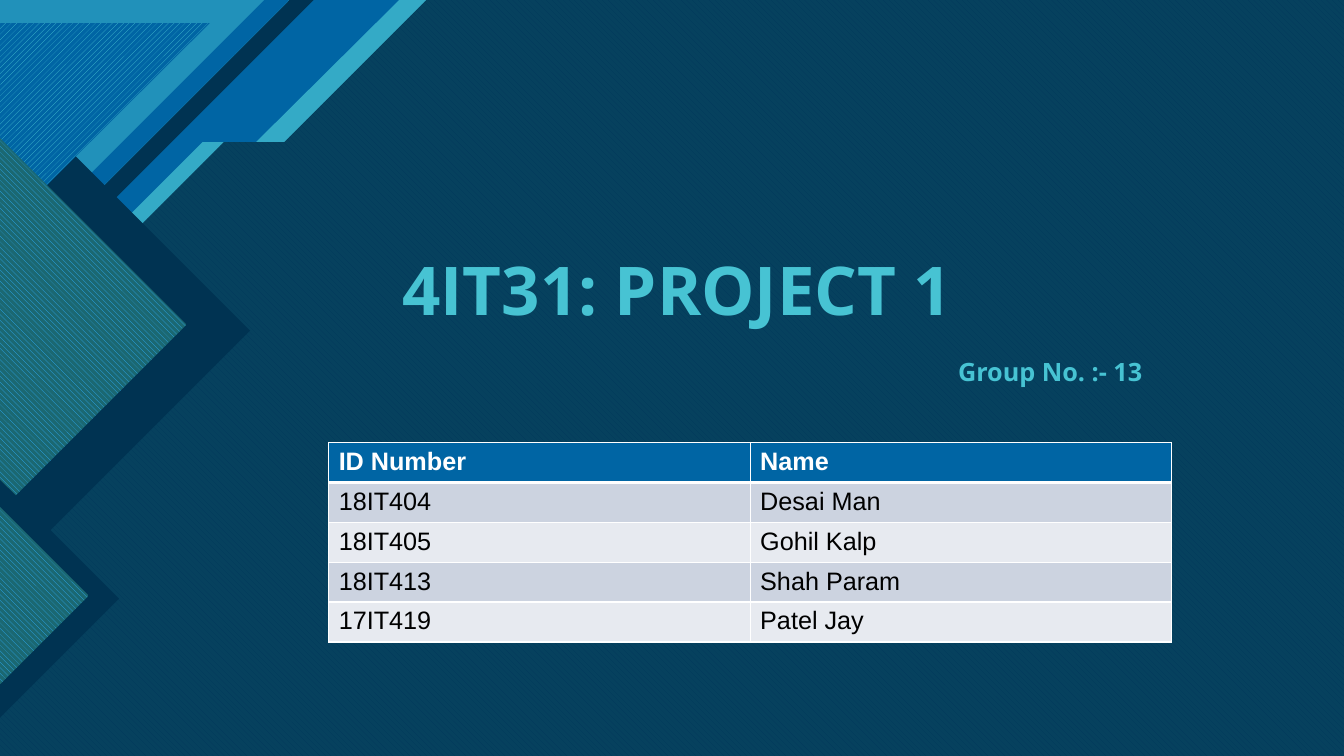
from lxml.etree import SubElement
from pptx import Presentation
from pptx.dml.color import RGBColor
from pptx.enum.dml import MSO_PATTERN
from pptx.enum.shapes import MSO_SHAPE
from pptx.enum.text import MSO_ANCHOR, PP_ALIGN
from pptx.oxml.ns import qn
from pptx.util import Inches, Pt

SLIDE_W, SLIDE_H = 13.33, 7.5
COLORS = {
    "blue": "0065A4", "aqua": "47C3D3", "navy": "003352", "sky": "2FAFFF",
    "teal": "1B6872", "white": "FFFFFF", "black": "000000",
    "band_dark": "CCD3E0", "band_light": "E7EAF0",
}
MEMBERS = [
    ("ID Number", "Name"),
    ("18IT404", "Desai Man"),
    ("18IT405", "Gohil Kalp"),
    ("18IT413", "Shah Param"),
    ("17IT419", "Patel Jay"),
]


def rgb(name):
    """Return the named palette colour."""
    return RGBColor.from_string(COLORS[name])


def paint(shape, color, opacity=100, pattern=None, back=None):
    """Fill a shape plainly, translucently or with a two-colour pattern."""
    shape.shadow.inherit = False
    shape.line.fill.background()
    if pattern is not None:
        shape.fill.patterned()
        shape.fill.pattern = pattern
        shape.fill.fore_color.rgb = rgb(color)
        shape.fill.back_color.rgb = rgb(back)
        return
    shape.fill.solid()
    shape.fill.fore_color.rgb = rgb(color)
    if opacity < 100:
        srgb = shape.fill._xPr.find(qn("a:solidFill")).find(qn("a:srgbClr"))
        SubElement(srgb, qn("a:alpha")).set("val", str(opacity * 1000))


def add_outline(slide, points, color, **style):
    """Draw a closed outline through points given in inches."""
    corners = [(Inches(x), Inches(y)) for x, y in points]
    builder = slide.shapes.build_freeform(*corners[0])
    builder.add_line_segments(corners[1:], close=True)
    paint(builder.convert_to_shape(), color, **style)


def add_corner(slide, size, color, **style):
    """Draw a right triangle filling the top left corner."""
    corner = slide.shapes.add_shape(
        MSO_SHAPE.RIGHT_TRIANGLE, 0, 0, Inches(size), Inches(size))
    corner.rotation = 90
    paint(corner, color, **style)


def add_half_diamond(slide, center, reach, color, **style):
    """Draw a diamond half pointing right from the left edge."""
    points = [(0, center - reach), (reach, center), (0, center + reach)]
    add_outline(slide, points, color, **style)


def add_backdrop(slide):
    """Layer the field, corner bands and edge diamonds."""
    slide.background.fill.solid()
    slide.background.fill.fore_color.rgb = rgb("blue")
    bottom = [(SLIDE_W, 0), (SLIDE_W, SLIDE_H), (0, SLIDE_H)]
    glow = [(3.96, 0), *bottom, (0, 3.42), (2.01, 1.41), (2.54, 1.41)]
    field = [(4.23, 0), *bottom, (0, 3.63), (2.22, 1.41), (2.82, 1.41)]
    stripes = {"pattern": MSO_PATTERN.WIDE_DOWNWARD_DIAGONAL}

    add_outline(slide, glow, "aqua", opacity=74)
    add_outline(slide, field, "blue", back="aqua", **stripes)
    add_corner(slide, 3.11, "navy")
    add_corner(slide, 2.87, "blue", back="aqua",
               pattern=MSO_PATTERN.DARK_HORIZONTAL)
    add_corner(slide, 2.62, "aqua", opacity=48)
    add_outline(slide, field, "navy", opacity=90)

    add_half_diamond(slide, 3.28, 2.48, "navy")
    add_outline(slide, [(0, 0.23), (2.08, 0.23), (0, 2.3)], "aqua",
                back="blue", pattern=MSO_PATTERN.WIDE_UPWARD_DIAGONAL)
    add_half_diamond(slide, 3.22, 1.85, "sky", back="teal", **stripes)
    add_half_diamond(slide, 5.94, 1.18, "navy")
    add_half_diamond(slide, 5.91, 0.88, "sky", back="teal", **stripes)


def add_run(paragraph, text, size, color, font, bold):
    """Append one formatted run."""
    run = paragraph.add_run()
    run.text = text
    run.font.size = Pt(size)
    run.font.name = font
    run.font.bold = bold
    run.font.color.rgb = rgb(color)


def add_heading(slide):
    """Set the project title with the group number, above the backdrop."""
    title = slide.shapes.title
    slide.shapes._spTree.append(title._element)
    title.left, title.top = Inches(3.89), Inches(2.44)
    title.width, title.height = Inches(7.74), Inches(1.52)
    frame = title.text_frame
    frame.word_wrap = True
    frame.vertical_anchor = MSO_ANCHOR.BOTTOM
    frame.margin_bottom = Inches(0.12)
    frame.margin_right = Inches(0.3)
    project, group = frame.paragraphs[0], frame.add_paragraph()
    project.alignment, group.alignment = PP_ALIGN.LEFT, PP_ALIGN.RIGHT
    group.space_before = Pt(21.5)
    for line, text, size in ((project, "4IT31: PROJECT 1", 48),
                             (group, "Group No. :- 13", 18)):
        line.line_spacing = 0.9
        add_run(line, text, size, "aqua", "Open Sans", True)


def set_borders(cell, top_width, bottom_width):
    """Give a cell white borders; top and bottom have their own widths."""
    props = cell._tc.get_or_add_tcPr()
    widths = {"a:lnL": 1, "a:lnR": 1, "a:lnT": top_width,
              "a:lnB": bottom_width}
    for place, (tag, width) in enumerate(widths.items()):
        border = SubElement(props, qn(tag), w=str(Pt(width)))
        fill = SubElement(border, qn("a:solidFill"))
        SubElement(fill, qn("a:srgbClr"), val=COLORS["white"])
        props.insert(place, border)


def add_members(slide):
    """Add the table of group members."""
    table = slide.shapes.add_table(
        len(MEMBERS), 2, Inches(3.26), Inches(4.39),
        Inches(8.36), Inches(1.98)).table
    for row, values in enumerate(MEMBERS):
        header = row == 0
        band = "band_dark" if row % 2 else "band_light"
        for column, value in enumerate(values):
            cell = table.cell(row, column)
            cell.fill.solid()
            cell.fill.fore_color.rgb = rgb("blue" if header else band)
            set_borders(cell, 3 if row == 1 else 1, 3 if header else 1)
            add_run(cell.text_frame.paragraphs[0], value, 18,
                    "white" if header else "black", "Arial", header)


def main():
    """Build the project cover slide."""
    deck = Presentation()
    deck.slide_width, deck.slide_height = Inches(SLIDE_W), Inches(SLIDE_H)
    slide = deck.slides.add_slide(deck.slide_layouts[5])
    add_backdrop(slide)
    add_heading(slide)
    add_members(slide)
    deck.save("out.pptx")


main()
